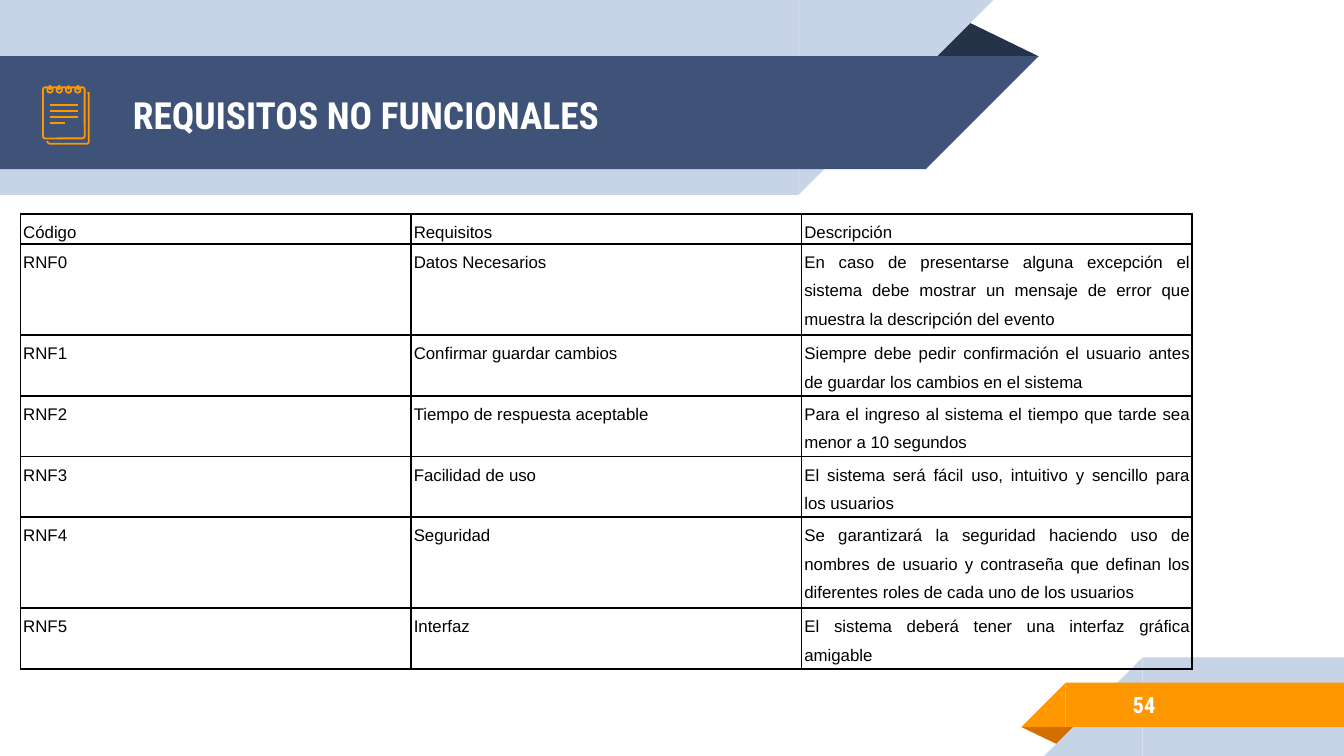
from lxml import etree
from pptx import Presentation
from pptx import util as u
from pptx.dml.color import RGBColor
from pptx.enum import shapes, text
from pptx.oxml.ns import qn

# Grid: 100 square units across the slide width
W = u.Inches(10)
H = W * 9 // 16
UNIT = W // 100

PALE = RGBColor(0xC7, 0xD3, 0xE6)
NAVY = RGBColor(0x3F, 0x53, 0x78)
DARK = RGBColor(0x26, 0x32, 0x48)
ORANGE = RGBColor(0xFF, 0x98, 0x00)
RUST = RGBColor(0xD2, 0x6F, 0x00)
WHITE = RGBColor(0xFF, 0xFF, 0xFF)
BLACK = RGBColor(0, 0, 0)

KIND = shapes.MSO_SHAPE
ICON_LINE = u.Pt(0.96)
LINE_ROW = 2.1  # table row height per line of text

# Number of text lines, code, requirement, description
ROWS = [
    (1, "Código", "Requisitos", "Descripción"),
    (3, "RNF0", "Datos Necesarios",
     "En caso de presentarse alguna excepción el sistema debe mostrar un "
     "mensaje de error que muestra la descripción del evento"),
    (2, "RNF1", "Confirmar guardar cambios",
     "Siempre debe pedir confirmación el usuario antes de guardar los "
     "cambios en el sistema"),
    (2, "RNF2", "Tiempo de respuesta aceptable",
     "Para el ingreso al sistema el tiempo que tarde sea menor a 10 segundos"),
    (2, "RNF3", "Facilidad de uso",
     "El sistema será fácil uso, intuitivo y sencillo para los usuarios"),
    (3, "RNF4", "Seguridad",
     "Se garantizará la seguridad haciendo uso de nombres de usuario y "
     "contraseña que definan los diferentes roles de cada uno de los usuarios"),
    (2, "RNF5", "Interfaz",
     "El sistema deberá tener una interfaz gráfica amigable"),
]


def grid(*values):
    return [round(v * UNIT) for v in values]


def add_block(s, kind, box, color, rotation=0, flip=False):
    """Filled shape without outline."""
    sp = s.shapes.add_shape(kind, *grid(*box))
    sp.shadow.inherit = False
    sp.fill.solid()
    sp.fill.fore_color.rgb = color
    sp.line.fill.background()
    sp.rotation = rotation
    if flip:
        sp._element.spPr.find(qn("a:xfrm")).set("flipH", "1")
    return sp


def add_fold(s, box, color, rotation=0):
    sp = add_block(s, KIND.ISOSCELES_TRIANGLE, box, color, rotation)
    sp.adjustments[0] = 0.324


def add_top_ribbon(s, top, width, height, color):
    """Bar from the left edge with a slanted right end."""
    add_block(s, KIND.RECTANGLE, (0, top, width, height), color, 180, True)
    add_block(s, KIND.RIGHT_TRIANGLE, (width, top, height, height),
              color, 180, True)


def add_bottom_ribbon(s, left, top, height, color):
    """Bar to the right edge with a slanted left end."""
    start = left + height
    add_block(s, KIND.RECTANGLE, (start, top, 100 - start, height), color)
    add_block(s, KIND.RIGHT_TRIANGLE, (left, top, height, height),
              color, flip=True)


def outline(sp):
    sp.shadow.inherit = False
    sp.fill.background()
    sp.line.color.rgb = ORANGE
    sp.line.width = ICON_LINE
    return sp


def add_stroke(s, x1, y1, x2, y2):
    c = s.shapes.add_connector(shapes.MSO_CONNECTOR.STRAIGHT,
                               *grid(x1, y1, x2, y2))
    c.line.color.rgb = ORANGE
    c.line.width = ICON_LINE
    etree.SubElement(c._element.spPr, qn("a:effectLst"))


def add_notebook(s):
    # Back page, seen below and to the right of the cover
    points = [grid(*p) for p in [
        (3.5, 10.5), (3.55, 10.6), (3.7, 10.7), (6.5, 10.7), (6.6, 10.6),
        (6.6, 7), (6.6, 6.9), (6.5, 6.9)]]
    builder = s.shapes.build_freeform(*points[0])
    builder.add_line_segments(points[1:], close=False)
    outline(builder.convert_to_shape())
    # Cover
    cover = outline(s.shapes.add_shape(KIND.ROUNDED_RECTANGLE,
                                       *grid(3.2, 6.5, 3.1, 3.8)))
    cover.adjustments[0] = 0.05
    # Binding rings
    for i in range(4):
        x = 3.72 + 0.69 * i
        outline(s.shapes.add_shape(KIND.OVAL, *grid(x - 0.2, 6.5, 0.4, 0.4)))
        add_stroke(s, x, 6.3, x, 6.7)
    # Written lines
    for i, end in enumerate([5.8, 5.8, 5.8, 4.8]):
        y = 7.8 + 0.45 * i
        add_stroke(s, 3.7, y, end, y)


def write(tf, content, *, size, font, color, bold=False, align=None,
          spacing=None, anchor=None, inset=None):
    tf.word_wrap = True
    if anchor is not None:
        tf.vertical_anchor = anchor
    if inset is not None:
        tf.margin_left = tf.margin_right = inset
        tf.margin_top = tf.margin_bottom = inset
    p = tf.paragraphs[0]
    p.alignment = align
    p.line_spacing = spacing
    r = p.add_run()
    r.text = content
    r.font.size = u.Pt(size)
    r.font.name = font
    r.font.bold = bold
    r.font.color.rgb = color


def add_label(s, box, content, size):
    tf = s.shapes.add_textbox(*grid(*box)).text_frame
    write(tf, content, size=size, font="Roboto Condensed", color=WHITE,
          bold=True, anchor=text.MSO_ANCHOR.MIDDLE, inset=UNIT)


def set_borders(cell):
    tc_pr = cell._tc.get_or_add_tcPr()
    for i, side in enumerate(("lnL", "lnR", "lnT", "lnB")):
        ln = etree.Element(qn("a:" + side), w=str(u.Pt(1)))
        fill = etree.SubElement(ln, qn("a:solidFill"))
        etree.SubElement(fill, qn("a:srgbClr"), val=str(BLACK))
        tc_pr.insert(i, ln)


def add_requirements(s):
    lines = sum(row[0] for row in ROWS)
    box = grid(1.53, 15.9, 3 * 29.06, lines * LINE_ROW)
    table = s.shapes.add_table(len(ROWS), 3, *box).table
    table.first_row = table.horz_banding = False
    for row, (count, *values) in zip(table.rows, ROWS):
        row.height = grid(count * LINE_ROW)[0]
        for cell, value in zip(row.cells, values):
            cell.fill.background()
            set_borders(cell)
            cell.margin_left = cell.margin_right = grid(0.2)[0]
            cell.margin_top = cell.margin_bottom = 0
            write(cell.text_frame, value, size=9, font="Arial", color=BLACK,
                  align=text.PP_ALIGN.JUSTIFY, spacing=1.5)


def main():
    prs = Presentation()
    prs.slide_width, prs.slide_height = W, H
    s = prs.slides.add_slide(prs.slide_layouts[6])

    # Header ribbons
    add_fold(s, (68.8, 1.4, 8.5, 2.8), DARK)
    add_top_ribbon(s, 0, 59.4, 14.5, PALE)
    add_top_ribbon(s, 4.18, 68.9, 8.4, NAVY)

    # Footer ribbons
    add_fold(s, (76, 54.1, 4.3, 1.4), RUST, 180)
    add_bottom_ribbon(s, 77.7, 48.92, 7.33, PALE)
    add_bottom_ribbon(s, 76, 50.8, 3.3, ORANGE)

    # Icon, title, page number and table
    add_notebook(s)
    add_label(s, (8.9, 4.3, 57.5, 8.4), "REQUISITOS NO FUNCIONALES", 20)
    add_label(s, (83.3, 50.7, 16.3, 3.5), "54", 12)
    add_requirements(s)

    prs.save("out.pptx")


if __name__ == "__main__":
    main()
